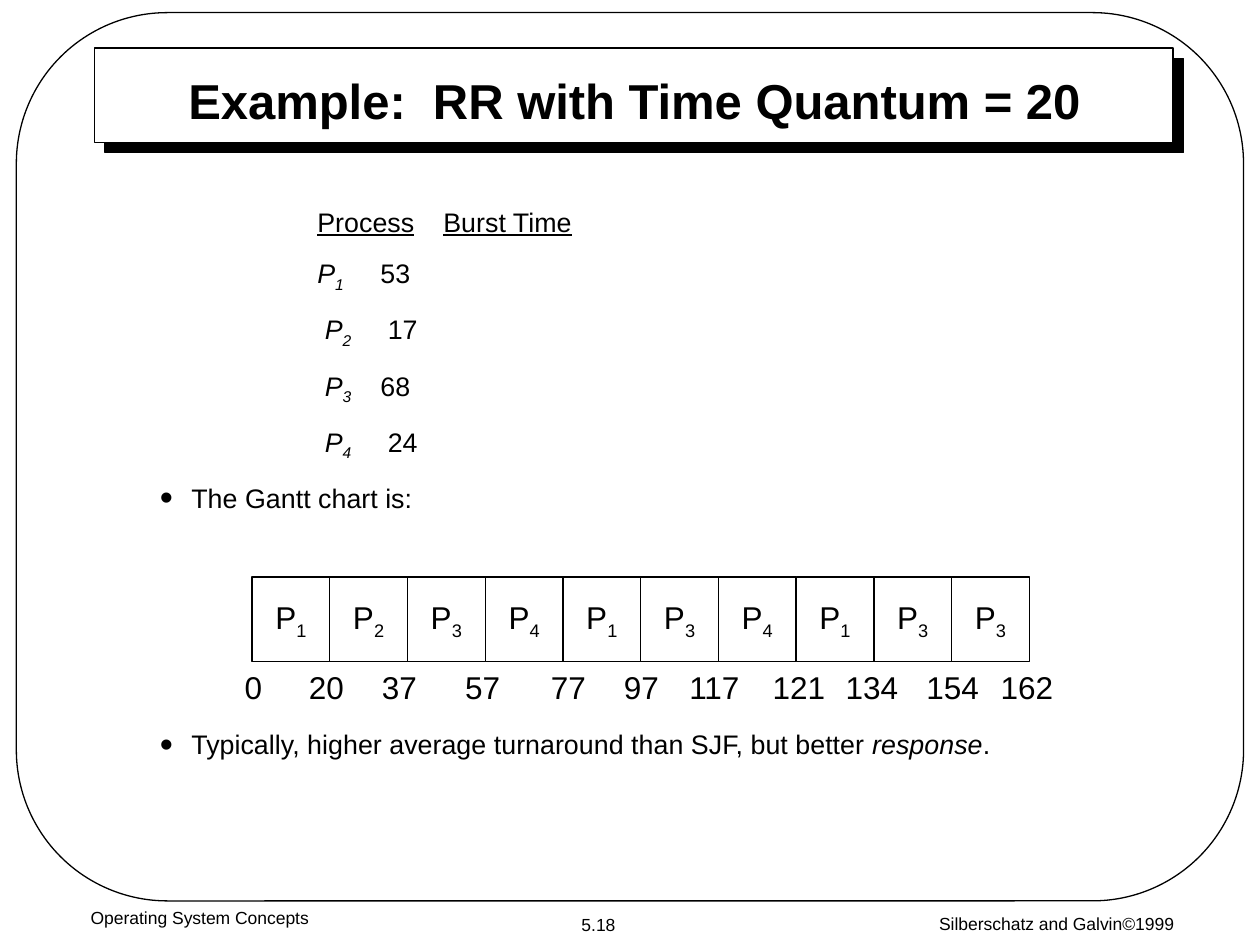
from lxml.etree import SubElement
from pptx import Presentation
from pptx.dml.color import RGBColor
from pptx.enum.shapes import MSO_SHAPE
from pptx.enum.text import MSO_ANCHOR, PP_ALIGN
from pptx.oxml.ns import qn
from pptx.util import Inches, Pt

BLACK = RGBColor(0, 0, 0)
WHITE = RGBColor(255, 255, 255)
FACE = "Arial"
FRAME = {"word_wrap": True, "vertical_anchor": MSO_ANCHOR.TOP}
MID = {"word_wrap": False, "vertical_anchor": MSO_ANCHOR.MIDDLE}
CENTER = {"alignment": PP_ALIGN.CENTER}
GAP = {"space_before": Pt(11.2)}

BURSTS = [("P", "1", "53"), (" P", "2", " 17"), (" P", "3", "68"), (" P", "4", " 24")]
ORDER = "1234134133"
TIMES = [(0, 2.01), (20, 2.59), (37, 3.17), (57, 3.83), (77, 4.51), (97, 5.09),
         (117, 5.67), (121, 6.34), (134, 6.92), (154, 7.56), (162, 8.15)]
FOOTERS = [("Silberschatz and Galvin©1999", 6.8, 7.2), ("Operating System Concepts", 0, 7.15)]


def assign(target, values):
    for name, value in values.items():
        setattr(target, name, value)


def write(para, runs, size, form):
    assign(para, form)
    for text, marks in runs:
        run = para.add_run()
        run.text = text
        assign(run.font, {"name": FACE, "size": Pt(size), "bold": "b" in marks,
                          "italic": "i" in marks, "underline": "u" in marks})
        run.font.color.rgb = BLACK
        if "_" in marks:
            run.font._element.set("baseline", "-25000")


def add_text(slide, box, runs, size, frame=FRAME, form=CENTER):
    shape = slide.shapes.add_textbox(*map(Inches, box))
    assign(shape.text_frame, frame)
    write(shape.text_frame.paragraphs[0], runs, size, form)
    return shape.text_frame


def add_box(parent, kind, box, fill=None):
    shape = parent.shapes.add_shape(kind, *map(Inches, box))
    shape.shadow.inherit = False
    if fill is None:
        shape.fill.background()
    else:
        shape.fill.solid()
        shape.fill.fore_color.rgb = fill
    shape.line.color.rgb = BLACK
    shape.line.width = Pt(0.75)
    return shape


def cast(shape):
    effects = shape._element.spPr.find(qn("a:effectLst"))
    shadow = SubElement(effects, qn("a:outerShdw"), dist=str(Pt(8.5)), dir="2700000",
                        algn="ctr", rotWithShape="0")
    SubElement(shadow, qn("a:srgbClr"), val=str(BLACK))


def indent(para, left, hang=0.0):
    props = para._p.get_or_add_pPr()
    props.set("marL", str(Inches(left)))
    props.set("indent", str(-Inches(hang)))
    return props


def add_bullet(para, runs, before):
    write(para, runs, 15.3, {"space_before": Pt(before)})
    props = indent(para, 0.25, 0.25)
    color = SubElement(props, qn("a:buClr"))
    SubElement(color, qn("a:srgbClr"), val=str(BLACK))
    SubElement(props, qn("a:buSzPct"), val="140000")
    SubElement(props, qn("a:buFont"), typeface=FACE)
    SubElement(props, qn("a:buChar"), char="•")


def add_body(slide):
    head = [("Process", "u"), ("\t", ""), ("Burst Time", "u")]
    body = add_text(slide, (1.17, 1.58, 7.69, 4.5), head, 15.3, form=GAP)
    indent(body.paragraphs[0], 1.25)
    for name, index, burst in BURSTS:
        para = body.add_paragraph()
        write(para, [(name, "i"), (index, "i_"), ("\t" + burst, "")], 15.3, GAP)
        indent(para, 1.25)
    add_bullet(body.add_paragraph(), [("The Gantt chart is:", "")], 11.2)
    closing = [("Typically, higher average turnaround than SJF, but better ", ""),
               ("response", "i"), (".", "")]
    add_bullet(body.add_paragraph(), closing, 122.4)


def add_gantt(slide):
    group = slide.shapes.add_group_shape()
    width = 6.17 / len(ORDER)
    for i, index in enumerate(ORDER):
        cell = add_box(group, MSO_SHAPE.RECTANGLE, (2 + i * width, 4.58, width, 0.67), WHITE)
        assign(cell.text_frame, MID)
        write(cell.text_frame.paragraphs[0], [("P", ""), (index, "_")], 18, CENTER)
    for time, middle in TIMES:
        label = str(time)
        wide = 0.2 + 0.14 * len(label)
        add_text(slide, (middle - wide / 2, 5.25, wide, 0.4), [(label, "")], 18,
                 MID, {**CENTER, **GAP})


def main():
    deck = Presentation()
    deck.slide_width, deck.slide_height = Inches(10), Inches(7.5)
    slide = deck.slides.add_slide(deck.slide_layouts[6])
    cast(add_box(slide, MSO_SHAPE.RECTANGLE, (0.75, 0.38, 8.56, 0.75), WHITE))
    border = add_box(slide, MSO_SHAPE.ROUNDED_RECTANGLE, (0.13, 0.1, 9.74, 7.05))
    border.adjustments[0] = 0.17
    for text, left, top in FOOTERS:
        add_text(slide, (left, top, 3.17, 0.3), [(text, "")], 10)
    add_text(slide, (4.28, 7.2, 0.94, 0.27), [("5.18", "")], 10, MID)
    add_text(slide, (1.27, 0.54, 7.53, 0.5),
             [("Example:  RR with Time Quantum = 20", "b")], 28, {**MID, "word_wrap": True})
    add_body(slide)
    add_gantt(slide)
    deck.save("out.pptx")


if __name__ == "__main__":
    main()
